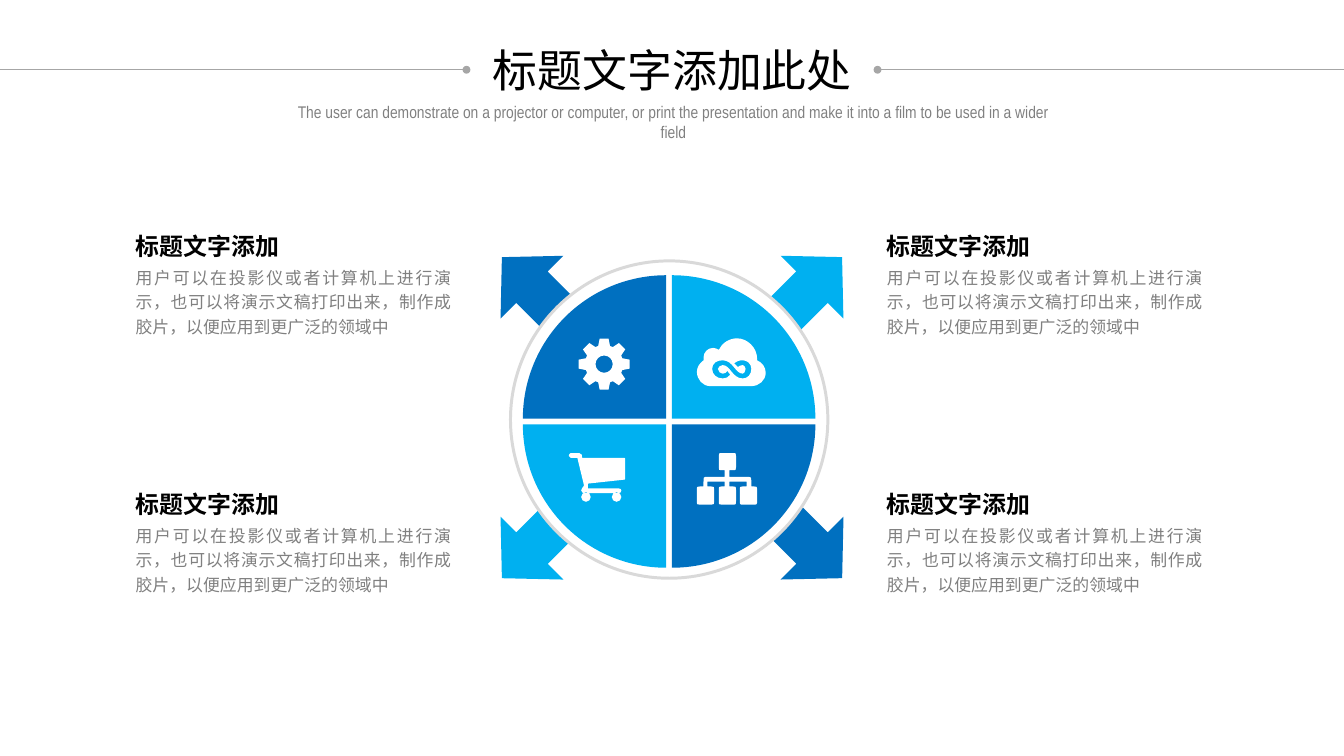
from dataclasses import dataclass
from math import cos, radians, sin

from lxml.etree import SubElement
from pptx import Presentation
from pptx.dml.color import RGBColor
from pptx.enum.shapes import MSO_CONNECTOR, MSO_SHAPE
from pptx.enum.text import MSO_ANCHOR, MSO_AUTO_SIZE, PP_ALIGN
from pptx.oxml.ns import qn
from pptx.util import Pt

TITLE = "标题文字添加此处"
SUBTITLE = ("The user can demonstrate on a projector or computer, or print the presentation "
            "and make it into a film to be used in a wider field")
HEADING = "标题文字添加"
BODY = "用户可以在投影仪或者计算机上进行演示，也可以将演示文稿打印出来，制作成胶片，以便应用到更广泛的领域中"

# Icon contours in px: 2 numbers = straight to a point, 4 = rounded corner
# (corner, end), 6 = cubic curve (two controls, end).
CLOUD = [
    [(801, 390), (801, 398, 794, 404, 786, 404), (743, 404),
     (735, 404, 729, 397, 729, 389), (729, 384, 732, 380, 736, 377),
     (736, 376, 736, 375, 736, 374), (736, 369, 740, 364, 746, 364),
     (748, 364, 750, 365, 752, 366), (755, 359, 763, 354, 771, 354),
     (782, 354, 792, 364, 792, 375), (792, 376, 792, 376, 792, 377),
     (797, 379, 801, 384, 801, 390)],
    [(756, 396), (759, 396, 762, 395, 764, 392), (763, 391, 762, 390, 761, 388),
     (760, 390, 758, 391, 756, 391), (754, 391, 751, 389, 751, 386),
     (751, 384, 754, 382, 756, 382), (764, 382, 766, 396, 777, 396),
     (782, 396, 786, 392, 786, 386), (786, 380, 781, 377, 777, 377),
     (773, 377, 771, 378, 768, 380), (769, 382, 770, 383, 772, 384),
     (773, 383, 775, 382, 777, 382), (778, 382, 780, 384, 780, 386),
     (780, 389, 778, 391, 777, 391), (769, 391, 767, 377, 756, 377),
     (750, 377, 745, 380, 745, 386), (745, 392, 750, 396, 756, 396)],
]
CART = [
    [(654, 500), (654, 502, 652, 502), (615, 506), (615, 509), (615, 511, 614, 511),
     (647, 511), (649, 511, 650, 512, 650, 513), (650, 515, 649, 516, 647, 516),
     (611, 516), (610, 516, 608, 515, 608, 513), (608, 512, 610, 509, 611, 508),
     (604, 479), (597, 479), (596, 479, 595, 478, 595, 477),
     (595, 476, 596, 474, 597, 474), (606, 474), (609, 474, 609, 477, 609, 479),
     (652, 479), (654, 479, 654, 481)],
]
CHART = [
    [(792, 524), (792, 528, 788, 528), (778, 528), (774, 528, 774, 524),
     (774, 513), (774, 509, 778, 509), (781, 509), (781, 504), (763, 504),
     (763, 509), (766, 509), (770, 509, 770, 513), (770, 524), (770, 528, 766, 528),
     (755, 528), (752, 528, 752, 524), (752, 513), (752, 509, 755, 509),
     (758, 509), (758, 504), (740, 504), (740, 509), (744, 509),
     (747, 509, 747, 513), (747, 524), (747, 528, 744, 528), (732, 528),
     (729, 528, 729, 524), (729, 513), (729, 509, 732, 509), (736, 509),
     (736, 504), (736, 499, 740, 499), (758, 499), (758, 492), (755, 492),
     (752, 492, 752, 489), (752, 477), (752, 474, 755, 474), (766, 474),
     (770, 474, 770, 477), (770, 489), (770, 492, 766, 492), (763, 492),
     (763, 499), (781, 499), (786, 499, 786, 504), (786, 509), (788, 509),
     (792, 509, 792, 513)],
]


@dataclass(frozen=True)
class Theme:
    blue: str = "0070C0"
    sky: str = "00B0F0"
    white: str = "FFFFFF"
    ring: str = "D9D9D9"
    rule: str = "A6A6A6"
    ink: str = "000000"
    muted: str = "808080"
    title_font: str = "Arial Narrow"
    body_font: str = "Calibri"
    title_size: float = 33.8
    heading_size: float = 18
    text_size: float = 12.7


def px(value):
    return round(value * 9144)


def circle(x, y, r):
    k = 0.55 * r
    return [(x + r, y), (x + r, y + k, x + k, y + r, x, y + r),
            (x - k, y + r, x - r, y + k, x - r, y),
            (x - r, y - k, x - k, y - r, x, y - r),
            (x + k, y - r, x + r, y - k, x + r, y)]


def gear(x, y, teeth=8):
    rim = [(x + r * cos(radians(tooth * 360 / teeth + a)),
            y + r * sin(radians(tooth * 360 / teeth + a)))
           for tooth in range(teeth)
           for r, a in ((20, -18), (27, -10), (27, 10), (20, 18))]
    return [rim, circle(x, y, 9)]


def move_points(move):
    """Points of one move in EMU: one for a straight line, three for a curve."""
    pairs = [(px(x), px(y)) for x, y in zip(move[::2], move[1::2])]
    return [pairs[0], *pairs] if len(pairs) == 2 else pairs


def paint(shape, color):
    shape.shadow.inherit = False
    shape.fill.solid()
    shape.fill.fore_color.rgb = RGBColor.from_string(color)
    shape.line.fill.background()


def add_preset(page, kind, bounds, color, rotation=0):
    shape = page.shapes.add_shape(kind, *map(px, bounds))
    paint(shape, color)
    shape.rotation = rotation
    return shape


def add_icon(page, contours, color):
    """Draw all points as straight segments, then merge each three of a curve into one."""
    outlines = [[move_points(move) for move in contour] for contour in contours]
    builder = page.shapes.build_freeform(*outlines[0][0][0])
    for number, (start, *moves) in enumerate(outlines):
        if number:
            builder.move_to(*start[0])
        builder.add_line_segments([point for move in moves for point in move])
    shape = builder.convert_to_shape()
    paint(shape, color)

    segments = iter(list(shape._element.iter(qn("a:lnTo"))))
    for _, *moves in outlines:
        for move in moves:
            first, *others = [next(segments) for _ in move]
            if others:
                first.tag = qn("a:cubicBezTo")
            for other in others:
                first.append(other[0])
                other.getparent().remove(other)


def add_rule(page, start, end, y, dot, color):
    line = page.shapes.add_connector(MSO_CONNECTOR.STRAIGHT, px(start), px(y), px(end), px(y))
    line.line.width = Pt(0.5)
    line.line.color.rgb = RGBColor.from_string(color)
    SubElement(line.line._get_or_add_ln(), qn(f"a:{dot}"), type="oval")
    SubElement(line._element.spPr, qn("a:effectLst"))


def set_text(box, text, font, size, color, align, spacing=1.0, bold=False, wrap=True):
    frame = box.text_frame
    frame.text = text
    frame.word_wrap = wrap
    frame.auto_size = MSO_AUTO_SIZE.SHAPE_TO_FIT_TEXT
    frame.vertical_anchor = MSO_ANCHOR.TOP
    para = frame.paragraphs[0]
    para.alignment = align
    para.line_spacing = spacing
    para._p.get_or_add_pPr().set("hangingPunct", "0")
    span = para.runs[0].font
    span.name, span.size, span.bold = font, Pt(size), bold
    span.color.rgb = RGBColor.from_string(color)


def add_text(page, bounds, *style, **options):
    set_text(page.shapes.add_textbox(*map(px, bounds)), *style, **options)


def main():
    theme = Theme()
    deck = Presentation()
    deck.slide_width, deck.slide_height = px(1406), px(791)
    page = deck.slides.add_slide(deck.slide_layouts[5])

    title = page.shapes.title
    title.left, title.top, title.width, title.height = map(px, (504, 40, 399, 67))
    set_text(title, TITLE, theme.title_font, theme.title_size, theme.ink,
             PP_ALIGN.CENTER, wrap=False)
    add_text(page, (290, 101, 829, 31), SUBTITLE, theme.title_font, theme.text_size,
             theme.muted, PP_ALIGN.CENTER, wrap=False)
    add_rule(page, 0, 488, 73, "tailEnd", theme.rule)
    add_rule(page, 918, 1406, 73, "headEnd", theme.rule)

    wheels = [circle(x, 520, 5) for x in (613, 645)]
    # column, row, clockwise turn, colour, icon
    quadrants = [
        (0, 0, 0, theme.blue, gear(632, 381)),
        (1, 0, 90, theme.sky, CLOUD),
        (1, 1, 180, theme.blue, CHART),
        (0, 1, 270, theme.sky, CART + wheels),
    ]
    for column, row, turn, color, _ in quadrants:
        add_preset(page, MSO_SHAPE.UP_ARROW, (510 + 293 * column, 256 + 273 * row, 93, 89),
                   color, (turn + 315) % 360)
    ring = add_preset(page, MSO_SHAPE.OVAL, (534, 273, 332, 332), theme.white)
    ring.line.color.rgb = RGBColor.from_string(theme.ring)
    ring.line.width = Pt(2.25)

    for column, row, turn, color, icon in quadrants:
        add_preset(page, MSO_SHAPE.PIE_WEDGE,
                   (547 + 156 * column, 288 + 156 * row, 150, 150), color, turn)
        add_icon(page, icon, theme.white)
        left, top = 132 + 786 * column, 231 + 270 * row
        add_text(page, (left, top + 40, 350, 87), BODY, theme.body_font, theme.text_size,
                 theme.muted, PP_ALIGN.JUSTIFY, spacing=1.2)
        add_text(page, (left, top, 240, 46), HEADING, theme.body_font, theme.heading_size,
                 theme.ink, PP_ALIGN.JUSTIFY, spacing=1.2, bold=True)

    deck.save("out.pptx")


if __name__ == "__main__":
    main()
